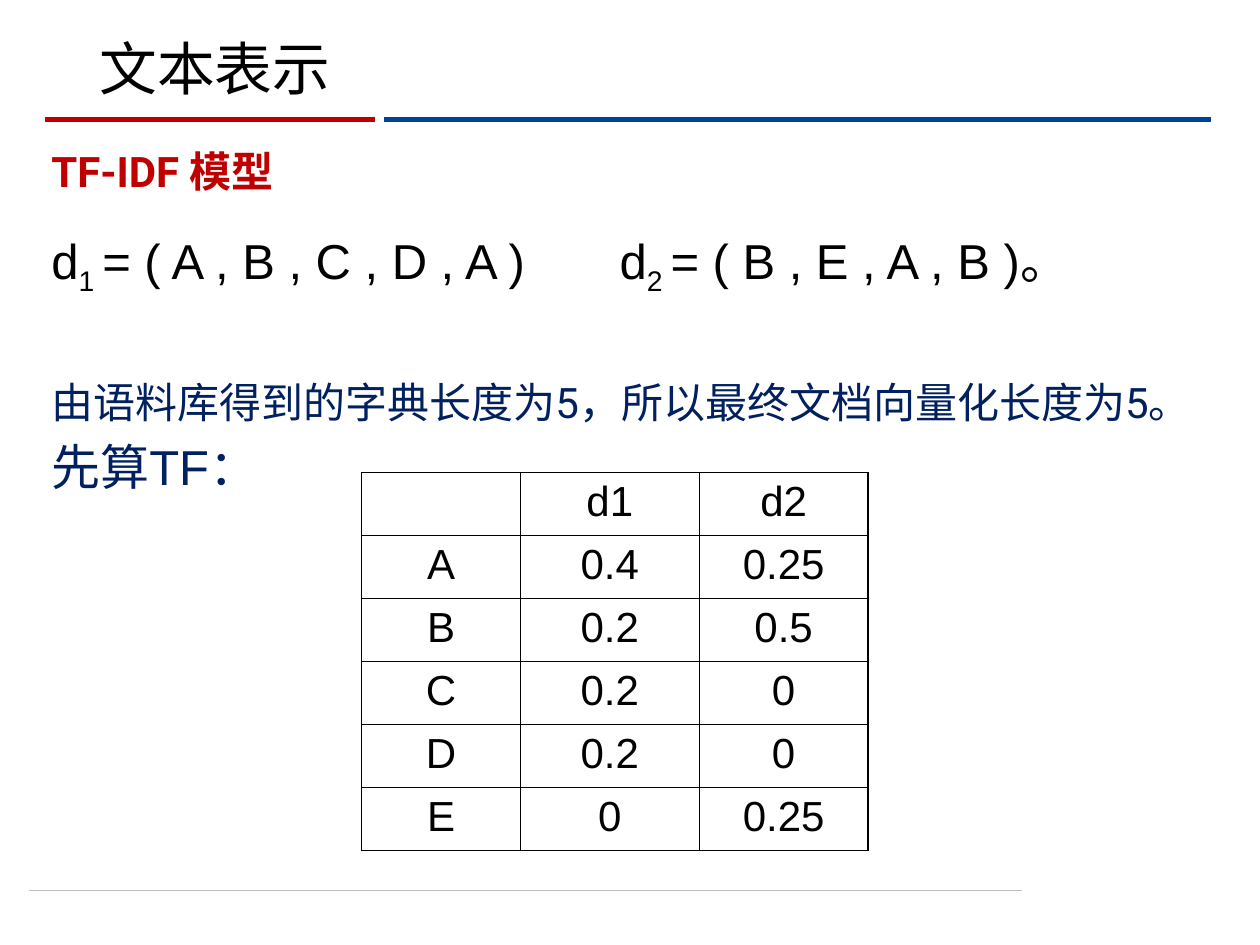
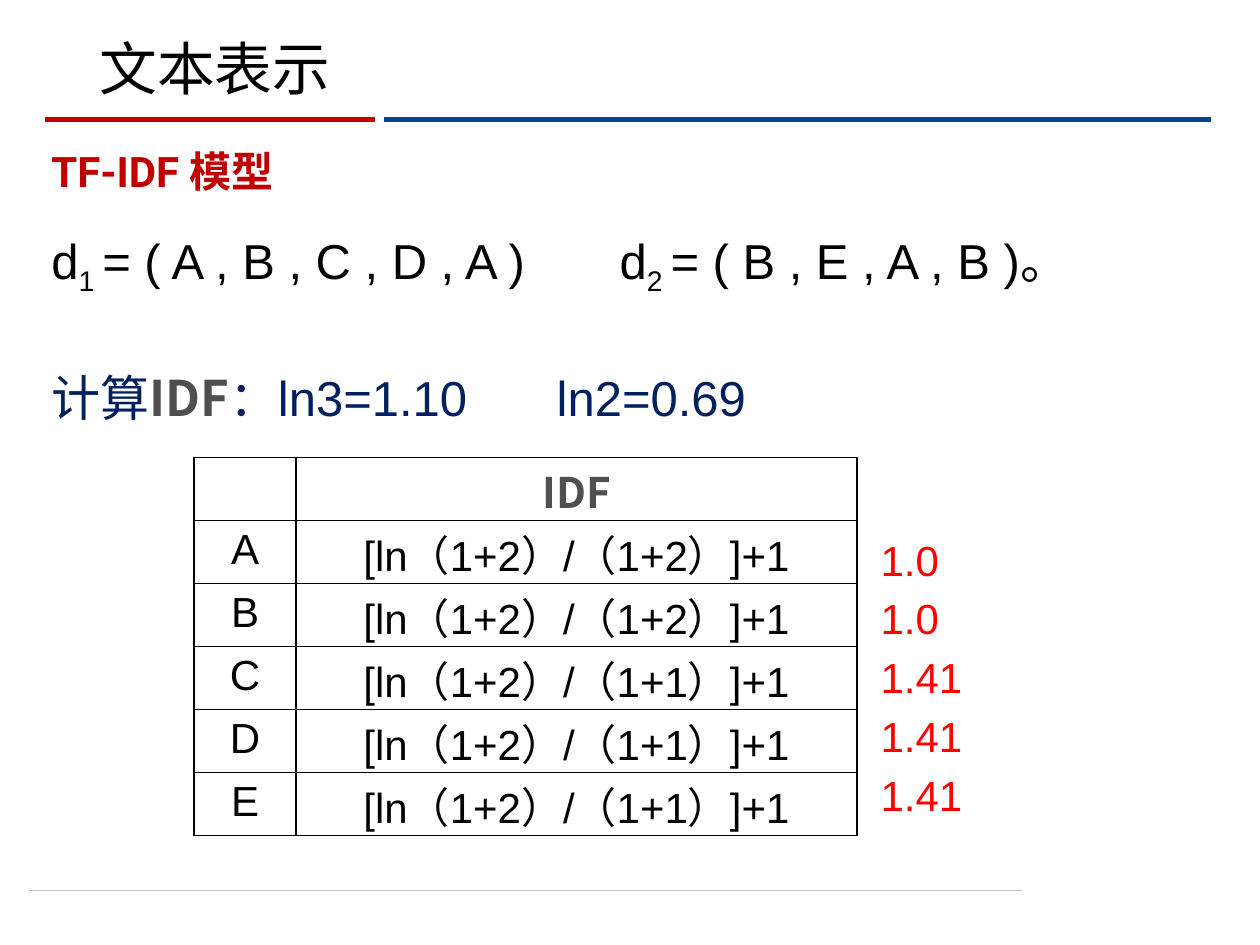
from dataclasses import dataclass
from typing import Any, Optional

import pptx
import pptx.dml.color
import pptx.enum.shapes
import pptx.enum.text
import pptx.oxml
import pptx.oxml.ns
import pptx.util
from lxml import etree

RGBColor = pptx.dml.color.RGBColor
Anchor = pptx.enum.text.MSO_ANCHOR
Align = pptx.enum.text.PP_ALIGN
qn = pptx.oxml.ns.qn

BLACK = RGBColor(0x00, 0x00, 0x00)
CRIMSON = RGBColor(0xC0, 0x00, 0x00)
BLUE = RGBColor(0x00, 0x42, 0x99)
NAVY = RGBColor(0x00, 0x20, 0x60)
RED = RGBColor(0xFF, 0x00, 0x00)
DARK_GREY = RGBColor(0x4F, 0x4F, 0x4F)
PALE_GREY = RGBColor(0xBF, 0xBF, 0xBF)

ARIAL, ROBOTO, NOTO = "Arial", "Roboto", "Noto Sans CJK SC"

# The slide is a grid of 100 columns by 75 rows.
SLIDE_WIDTH, SLIDE_HEIGHT = pptx.util.Inches(10), pptx.util.Inches(7.5)
COLUMNS, ROWS = 100, 75


def across(columns: float) -> pptx.util.Emu:
    return pptx.util.Emu(round(SLIDE_WIDTH * columns / COLUMNS))


def down(rows: float) -> pptx.util.Emu:
    return pptx.util.Emu(round(SLIDE_HEIGHT * rows / ROWS))


@dataclass(frozen=True)
class Box:
    left: float
    top: float
    width: float
    height: float

    def place(self) -> tuple[pptx.util.Emu, ...]:
        return across(self.left), down(self.top), across(self.width), down(self.height)


@dataclass(frozen=True)
class Rule:
    start: float
    end: float
    row: float
    color: RGBColor
    points: float


@dataclass(frozen=True)
class Style:
    size: float
    font: str = ARIAL
    color: RGBColor = BLACK
    bold: bool = False


@dataclass(frozen=True)
class Piece:
    """Part of a line; style is set only where it differs from the line's own."""
    text: str
    style: Optional[Style] = None
    subscript: bool = False


@dataclass(frozen=True)
class Line:
    pieces: tuple[Piece, ...]
    style: Style
    gap: Optional[float] = None  # points before; 20% when not given
    line_spacing: Optional[float] = None
    tab: Optional[float] = None  # grid columns from the text edge


@dataclass(frozen=True)
class Column:
    width: float
    anchor: Any = Anchor.TOP
    top_margin: float = 0.5
    head_style: Optional[Style] = None


RULES = (
    Rule(2.3, 81.1, 70.7, PALE_GREY, 0.5),
    Rule(30.5, 96.1, 9.5, BLUE, 3),
    Rule(3.6, 29.8, 9.5, CRIMSON, 3),
)
TITLE_BOX = Box(6.9, 2.2, 86.2, 6.5)
SUBTITLE_BOX = Box(3.1, 11.5, 96.9, 4.7)
TITLE = Line((Piece("文本表示"),), Style(33, ROBOTO), gap=0, line_spacing=0.9)
SUBTITLE = Line((Piece("TF-IDF 模型"),), Style(24, ROBOTO, CRIMSON, True),
                gap=7.5, line_spacing=0.9)

BODY = Style(28)
CELL = Style(24)
CELL_ROW = 5
DOCUMENTS = Line(
    (Piece("d"), Piece("1 ", subscript=True), Piece("= ( A , B , C , D , A )\td"),
     Piece("2 ", subscript=True), Piece("= ( B , E , A , B )。")),
    BODY, tab=45.1)
TERMS = "ABCDE"


def apply_style(font: Any, style: Style) -> None:
    font.size = pptx.util.Pt(style.size)
    font.name = style.font
    font.bold = style.bold
    font.color.rgb = style.color


def space_paragraph(paragraph: Any, line: Line) -> None:
    properties = paragraph._p.get_or_add_pPr()
    if line.gap is None:
        before = etree.SubElement(properties, qn("a:spcBef"))
        etree.SubElement(before, qn("a:spcPct"), val="20000")
    else:
        paragraph.space_before = pptx.util.Pt(line.gap)
    if line.line_spacing:
        paragraph.line_spacing = line.line_spacing
    if line.tab:
        stops = etree.SubElement(properties, qn("a:tabLst"))
        etree.SubElement(stops, qn("a:tab"), pos=str(across(line.tab)), algn="l")


def write_lines(slide: Any, box: Box, lines: tuple[Line, ...],
                anchor: Any = Anchor.TOP, wrap: bool = True) -> None:
    frame = slide.shapes.add_textbox(*box.place()).text_frame
    frame.word_wrap = wrap
    frame.vertical_anchor = anchor
    for index, line in enumerate(lines):
        paragraph = frame.paragraphs[0] if index == 0 else frame.add_paragraph()
        space_paragraph(paragraph, line)
        apply_style(paragraph.font, line.style)
        for piece in line.pieces:
            run = paragraph.add_run()
            run.text = piece.text
            if piece.style:
                apply_style(run.font, piece.style)
            if piece.subscript:
                run._r.get_or_add_rPr().set("baseline", "-25000")


def draw_rule(slide: Any, rule: Rule) -> None:
    connector = slide.shapes.add_connector(
        pptx.enum.shapes.MSO_CONNECTOR.STRAIGHT,
        across(rule.start), down(rule.row), across(rule.end), down(rule.row))
    connector.line.color.rgb = rule.color
    connector.line.width = pptx.util.Pt(rule.points)
    etree.SubElement(connector._element.spPr, qn("a:effectLst"))


def border_cell(cell: Any) -> None:
    properties = cell._tc.get_or_add_tcPr()
    for index, side in enumerate(("lnL", "lnR", "lnT", "lnB")):
        edge = etree.Element(qn(f"a:{side}"), w=str(pptx.util.Pt(1)))
        fill = etree.SubElement(edge, qn("a:solidFill"))
        etree.SubElement(fill, qn("a:srgbClr"), val=str(BLACK))
        properties.insert(index, edge)


def draw_table(slide: Any, left: float, top: float, columns: tuple[Column, ...],
               rows: list[tuple[str, ...]]) -> None:
    box = Box(left, top, sum(column.width for column in columns), CELL_ROW * len(rows))
    table = slide.shapes.add_table(len(rows), len(columns), *box.place()).table
    table.first_row = table.horz_banding = False
    for row in table.rows:
        row.height = down(CELL_ROW)
    for x, column in enumerate(columns):
        table.columns[x].width = across(column.width)
        for y, values in enumerate(rows):
            cell = table.cell(y, x)
            cell.text = values[x]
            cell.fill.background()
            border_cell(cell)
            cell.margin_top, cell.margin_bottom = down(column.top_margin), 0
            cell.vertical_anchor = column.anchor
            paragraph = cell.text_frame.paragraphs[0]
            paragraph.alignment = Align.CENTER
            is_head = y == 0 and column.head_style
            apply_style(paragraph.font, column.head_style if is_head else CELL)


def start_slide(deck: Any) -> Any:
    """Add a blank slide with the rules, title and subtitle all slides share."""
    slide = deck.slides.add_slide(deck.slide_layouts[6])
    for rule in RULES:
        draw_rule(slide, rule)
    write_lines(slide, TITLE_BOX, (TITLE,), Anchor.BOTTOM)
    write_lines(slide, SUBTITLE_BOX, (SUBTITLE,))
    return slide


def build_tf_slide(deck: Any) -> None:
    slide = start_slide(deck)
    dictionary = Line(
        (Piece("由语料库得到的字典长度为5，所以最终文档向量化长度为5。"),),
        Style(24, ROBOTO, NAVY), gap=45)
    tf_first = Line((Piece("先算TF："),), Style(28, color=NAVY))
    write_lines(slide, Box(3.1, 17.8, 94.9, 21.9), (DOCUMENTS, dictionary, tf_first))
    d1 = ("0.4", "0.2", "0.2", "0.2", "0")
    d2 = ("0.25", "0.5", "0", "0", "0.25")
    draw_table(slide, 28.7, 37.5, (Column(12.6), Column(14.2), Column(13.4)),
               [("", "d1", "d2"), *zip(TERMS, d1, d2)])


def build_idf_slide(deck: Any) -> None:
    slide = start_slide(deck)
    logarithms = Line(
        (Piece("计算"), Piece("IDF", Style(28, NOTO, DARK_GREY, True)),
         Piece("：ln3=1.10\tln2=0.69")),
        Style(28, color=NAVY), gap=40, tab=40.1)
    write_lines(slide, Box(3.1, 17.8, 94.9, 17), (DOCUMENTS, logarithms))
    document_counts = (2, 2, 1, 1, 1)
    formulas = [f"[ln（1+2）/（1+{count}）]+1" for count in document_counts]
    formula_column = Column(44.5, Anchor.BOTTOM, 0, Style(24, NOTO, DARK_GREY, True))
    draw_table(slide, 15.4, 36.3, (Column(8.1), formula_column),
               [("", "IDF"), *zip(TERMS, formulas)])
    results = ("1.0", "1.0", "1.41", "1.41", "1.41")
    write_lines(slide, Box(68.9, 41.9, 8.6, 24.4),
                tuple(Line((Piece(result),), Style(24, color=RED)) for result in results),
                wrap=False)


def main() -> None:
    deck = pptx.Presentation()
    deck.slide_width, deck.slide_height = SLIDE_WIDTH, SLIDE_HEIGHT
    build_tf_slide(deck)
    build_idf_slide(deck)
    deck.save("out.pptx")


if __name__ == "__main__":
    main()
